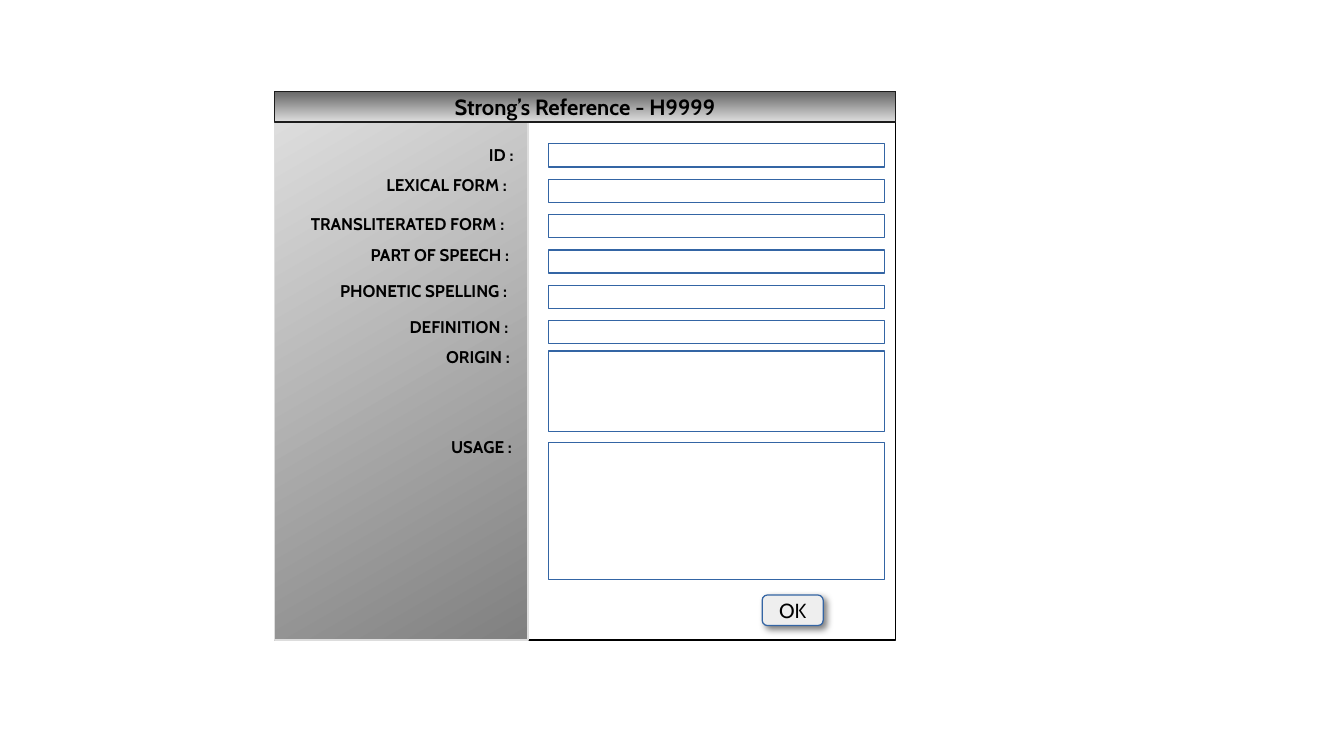
"""Build a dictionary entry form with a title bar, label panel, fields and button."""
from lxml import etree
from pptx import Presentation
from pptx.dml.color import RGBColor
from pptx.enum.shapes import MSO_SHAPE as Shape
from pptx.enum.text import MSO_ANCHOR as Anchor, MSO_AUTO_SIZE as AutoSize, PP_ALIGN as Align
from pptx.oxml.ns import qn
from pptx.util import Inches, Pt

TITLE = "Strong’s Reference - H9999"
BUTTON = "OK"
LABELS = [
    ("ID :", 3.91, 1.14, 0.43),
    ("LEXICAL FORM :", 3.07, 1.38, 1.28),
    ("TRANSLITERATED FORM :", 2.45, 1.7, 1.9),
    ("PART OF SPEECH :", 2.94, 1.96, 1.39),
    ("PHONETIC SPELLING :", 2.69, 2.25, 1.69),
    ("DEFINITION :", 3.26, 2.55, 1.11),
    ("ORIGIN :", 3.56, 2.79, 0.79),
    ("USAGE :", 3.6, 3.53, 0.72),
]
LINE_FIELDS = 6
FIELD_TOP, FIELD_PITCH, FIELD_HEIGHT = 1.18, 0.29, 0.19
AREA_FIELDS = [(2.88, 0.66), (3.63, 1.12)]
FIELD_LEFT, FIELD_WIDTH = 4.5, 2.75
LEFT, TOP, WIDTH, HEIGHT = 2.25, 0.75, 5.09, 4.5
BAR_HEIGHT, PANEL_WIDTH = 0.25, 2.08
BLACK, WHITE, BLUE, SILVER = "000000", "FFFFFF", "3465A4", "DDDDDD"


def color(value):
    return RGBColor.from_string(value)


def add_box(slide, box, fill, line, kind=Shape.RECTANGLE, angle=0):
    shape = slide.shapes.add_shape(kind, *map(Inches, box))
    shape.shadow.inherit = False
    if isinstance(fill, tuple):
        shape.fill.gradient()
        shape.fill.gradient_angle = 360 - angle
        for stop, value in zip(shape.fill.gradient_stops, fill):
            stop.color.rgb = color(value)
    else:
        shape.fill.solid()
        shape.fill.fore_color.rgb = color(fill)
    shape.line.color.rgb = color(line)
    shape.line.width = Pt(0)
    return shape


def write(shape, text, size, bold=True, align=Align.CENTER, **frame_format):
    frame = shape.text_frame
    for name, value in frame_format.items():
        setattr(frame, name, value)
    paragraph = frame.paragraphs[0]
    paragraph.alignment = align
    run = paragraph.add_run()
    run.text = text
    for name, value in {"name": "Cabin", "size": Pt(size), "bold": bold}.items():
        setattr(run.font, name, value)
    run.font.color.rgb = color(BLACK)


def add_shadow(shape, value, blur, distance, angle):
    effects = shape._element.spPr.find(qn("a:effectLst"))
    shadow = etree.SubElement(effects, qn("a:outerShdw"), blurRad=str(Pt(blur)),
                              dist=str(Pt(distance)), dir=str(angle * 60000),
                              algn="tl", rotWithShape="0")
    etree.SubElement(shadow, qn("a:srgbClr"), val=value)


def main():
    presentation = Presentation()
    presentation.slide_width, presentation.slide_height = Inches(11.02), Inches(6.2)
    slide = presentation.slides.add_slide(presentation.slide_layouts[6])

    add_box(slide, (LEFT, TOP, WIDTH, HEIGHT), WHITE, BLACK)
    panel = (LEFT, TOP + BAR_HEIGHT, PANEL_WIDTH, HEIGHT - BAR_HEIGHT)
    add_box(slide, panel, (SILVER, "808080"), SILVER, angle=60)
    bar = add_box(slide, (LEFT, TOP, WIDTH, BAR_HEIGHT), ("666666", SILVER), "1C1C1C", angle=90)
    write(bar, TITLE, 13, vertical_anchor=Anchor.MIDDLE)

    for text, left, top, width in LABELS:
        label = slide.shapes.add_textbox(*map(Inches, (left, top, width, 0.29)))
        write(label, text, 10, align=Align.LEFT, word_wrap=False,
              auto_size=AutoSize.SHAPE_TO_FIT_TEXT)

    fields = [(FIELD_TOP + row * FIELD_PITCH, FIELD_HEIGHT) for row in range(LINE_FIELDS)]
    for top, height in fields + AREA_FIELDS:
        add_box(slide, (FIELD_LEFT, top, FIELD_WIDTH, height), WHITE, BLUE)

    button = add_box(slide, (6.25, 4.88, 0.5, 0.25), "EEEEEE", BLUE, Shape.ROUNDED_RECTANGLE)
    button.adjustments[0] = 0.17
    add_shadow(button, "808080", 4, 2.8, 45)
    write(button, BUTTON, 12, bold=False, vertical_anchor=Anchor.MIDDLE)

    presentation.save("out.pptx")


if __name__ == "__main__":
    main()
